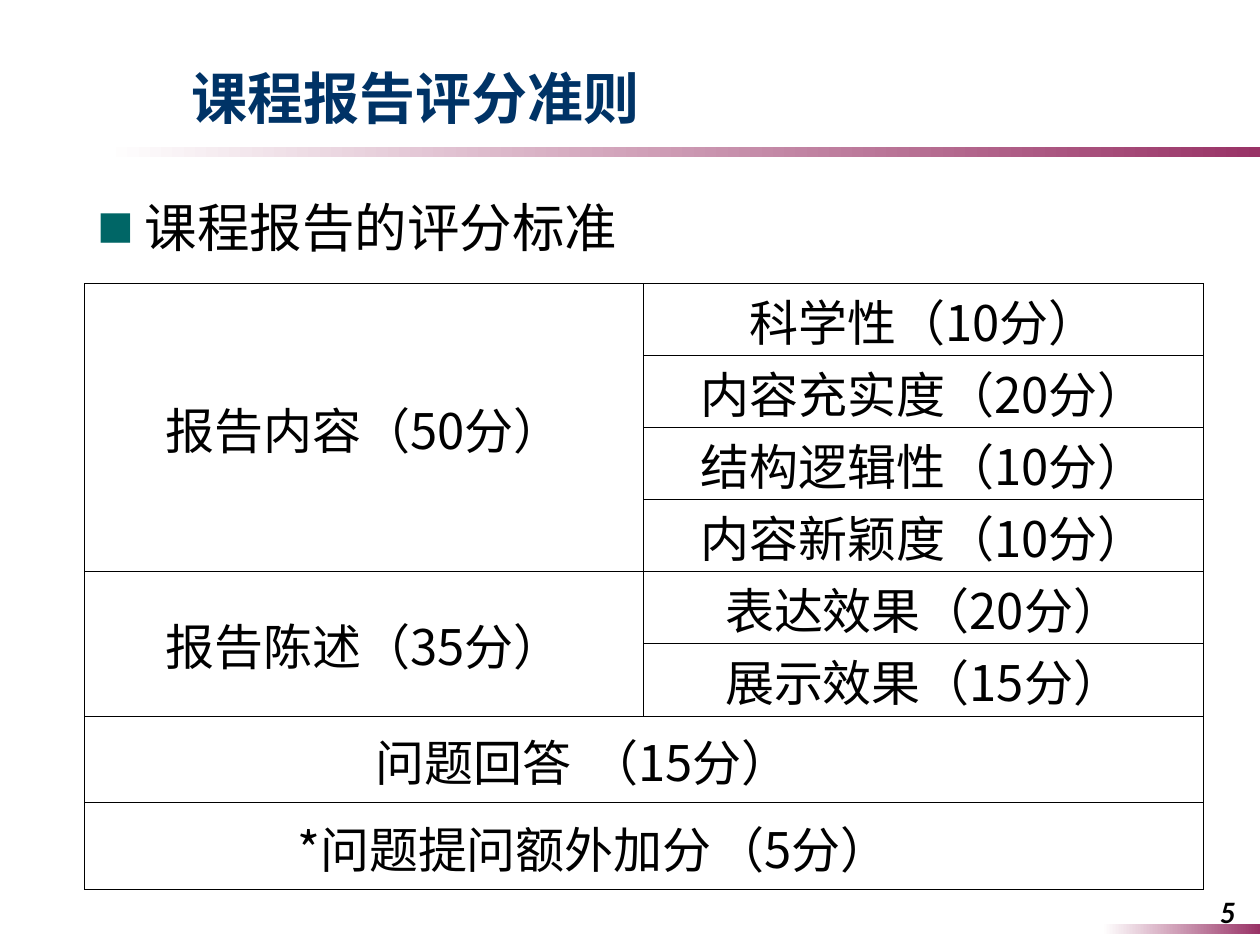
from dataclasses import dataclass
from typing import Optional

from lxml import etree
from pptx import Presentation
from pptx.dml.color import RGBColor
from pptx.enum.shapes import MSO_SHAPE
from pptx.enum.text import MSO_ANCHOR, MSO_AUTO_SIZE, PP_ALIGN
from pptx.oxml.ns import qn
from pptx.util import Inches, Pt

RECT = MSO_SHAPE.RECTANGLE
MIDDLE, BOTTOM, TOP = MSO_ANCHOR.MIDDLE, MSO_ANCHOR.BOTTOM, MSO_ANCHOR.TOP
LEFT, CENTER, RIGHT = PP_ALIGN.LEFT, PP_ALIGN.CENTER, PP_ALIGN.RIGHT
NO_AUTOFIT = MSO_AUTO_SIZE.NONE

WHITE = RGBColor(0xFF, 0xFF, 0xFF)
BLACK = RGBColor(0, 0, 0)
NAVY = RGBColor(0x00, 0x33, 0x66)
TEAL = RGBColor(0x00, 0x66, 0x66)
PLUM = RGBColor(0x99, 0x33, 0x66)
CJK = "Noto Sans CJK SC"


@dataclass
class Box:
    x: float
    y: float
    w: float
    h: float

    def emu(self) -> tuple:
        return Inches(self.x), Inches(self.y), Inches(self.w), Inches(self.h)


@dataclass
class Entry:
    row: int
    col: int
    text: str
    rows: int = 1
    cols: int = 1
    indent: Optional[float] = None
    tab: Optional[float] = None


BARS = [Box(0.83, 1.17, 9.17, 0.08), Box(8.75, 7.33, 1.25, 0.08)]
ROW_HEIGHTS = [0.57] * 6 + [0.69] * 2
COL_WIDTH = 4.44
ENTRIES = [
    Entry(0, 0, "报告内容（50分）", rows=4),
    Entry(0, 1, "科学性（10分）"),
    Entry(1, 1, "内容充实度（20分）"),
    Entry(2, 1, "结构逻辑性（10分）"),
    Entry(3, 1, "内容新颖度（10分）"),
    Entry(4, 0, "报告陈述（35分）", rows=2),
    Entry(4, 1, "表达效果（20分）"),
    Entry(5, 1, "展示效果（15分）"),
    Entry(6, 0, "问题回答\t（15分）", cols=2, indent=2.3, tab=4.72),
    Entry(7, 0, "*问题提问额外加分\t（5分）", cols=2, indent=1.68, tab=5.58),
]


def add_run(p, text: str, size: float, color: RGBColor, font: str = CJK,
            bold: bool = False, italic: bool = False) -> None:
    r = p.add_run()
    r.text = text
    f = r.font
    f.size, f.name, f.bold, f.italic = Pt(size), font, bold, italic
    f.color.rgb = color
    latin = r._r.get_or_add_rPr().find(qn("a:latin"))
    ea = etree.Element(qn("a:ea"), typeface=CJK)
    latin.addnext(ea)


def place(sp, box: Box, anchor) -> None:
    sp.left, sp.top, sp.width, sp.height = box.emu()
    tf = sp.text_frame
    tf.word_wrap = True
    tf.auto_size = NO_AUTOFIT
    tf.vertical_anchor = anchor


def add_bar(s, box: Box) -> None:
    sp = s.shapes.add_shape(RECT, *box.emu())
    sp.shadow.inherit = False
    sp.line.fill.background()
    sp.fill.gradient()
    sp.fill.gradient_angle = 0
    for stop, color in zip(sp.fill.gradient_stops, (WHITE, PLUM)):
        stop.color.rgb = color


def set_bullet(p) -> None:
    pPr = p._p.get_or_add_pPr()
    pPr.set("marL", str(Inches(0.38)))
    pPr.set("indent", str(Inches(-0.38)))
    clr = etree.SubElement(pPr, qn("a:buClr"))
    etree.SubElement(clr, qn("a:srgbClr"), val=str(TEAL))
    etree.SubElement(pPr, qn("a:buSzPct"), val="70000")
    etree.SubElement(pPr, qn("a:buFont"), typeface=CJK)
    etree.SubElement(pPr, qn("a:buChar"), char="■")


def set_tab(p, indent: float, tab: float) -> None:
    pPr = p._p.get_or_add_pPr()
    pPr.set("marL", "0")
    pPr.set("indent", str(Inches(indent)))
    tabs = etree.SubElement(pPr, qn("a:tabLst"))
    etree.SubElement(tabs, qn("a:tab"), pos=str(Inches(tab)), algn="l")


def style_cell(cell) -> None:
    tcPr = cell._tc.get_or_add_tcPr()
    for side in ("lnL", "lnR", "lnT", "lnB"):
        ln = etree.SubElement(tcPr, qn(f"a:{side}"), w=str(Pt(0.5)))
        fill = etree.SubElement(ln, qn("a:solidFill"))
        etree.SubElement(fill, qn("a:srgbClr"), val=str(BLACK))
    cell.fill.background()
    cell.vertical_anchor = MIDDLE
    cell.margin_left = cell.margin_right = cell.margin_top = Inches(0.01)
    cell.margin_bottom = 0


def add_score_table(s) -> None:
    box = Box(0.67, 2.25, 2 * COL_WIDTH, sum(ROW_HEIGHTS))
    table = s.shapes.add_table(len(ROW_HEIGHTS), 2, *box.emu()).table
    table.first_row = table.horz_banding = False
    for col in table.columns:
        col.width = Inches(COL_WIDTH)
    for row, height in zip(table.rows, ROW_HEIGHTS):
        row.height = Inches(height)
    for cell in table.iter_cells():
        style_cell(cell)
    for e in ENTRIES:
        cell = table.cell(e.row, e.col)
        if e.rows > 1 or e.cols > 1:
            cell.merge(table.cell(e.row + e.rows - 1, e.col + e.cols - 1))
        p = cell.text_frame.paragraphs[0]
        if e.tab is None:
            p.alignment = CENTER
        else:
            set_tab(p, e.indent, e.tab)
            p.alignment = LEFT
        add_run(p, e.text, 28, BLACK)


def main() -> None:
    prs = Presentation()
    prs.slide_width, prs.slide_height = Inches(10), Inches(7.5)
    s = prs.slides.add_slide(prs.slide_layouts[1])
    for bar in BARS:
        add_bar(s, bar)

    title = s.shapes.title
    place(title, Box(1.42, 0.17, 8, 0.92), BOTTOM)
    p = title.text_frame.paragraphs[0]
    p.alignment = LEFT
    add_run(p, "课程报告评分准则", 32, NAVY, bold=True)

    body = s.placeholders[1]
    place(body, Box(0.67, 1.5, 8.83, 5.33), TOP)
    p = body.text_frame.paragraphs[0]
    set_bullet(p)
    p.space_before = Pt(0)
    add_run(p, "课程报告的评分标准", 30, BLACK, font="Times New Roman")

    number_box = Box(7.58, 6.92, 2.33, 0.5)
    number = s.shapes.add_textbox(*number_box.emu())
    place(number, number_box, BOTTOM)
    p = number.text_frame.paragraphs[0]
    p.alignment = RIGHT
    add_run(p, "5", 16, BLACK, font="Lato", bold=True, italic=True)

    add_score_table(s)
    prs.save("out.pptx")


if __name__ == "__main__":
    main()
